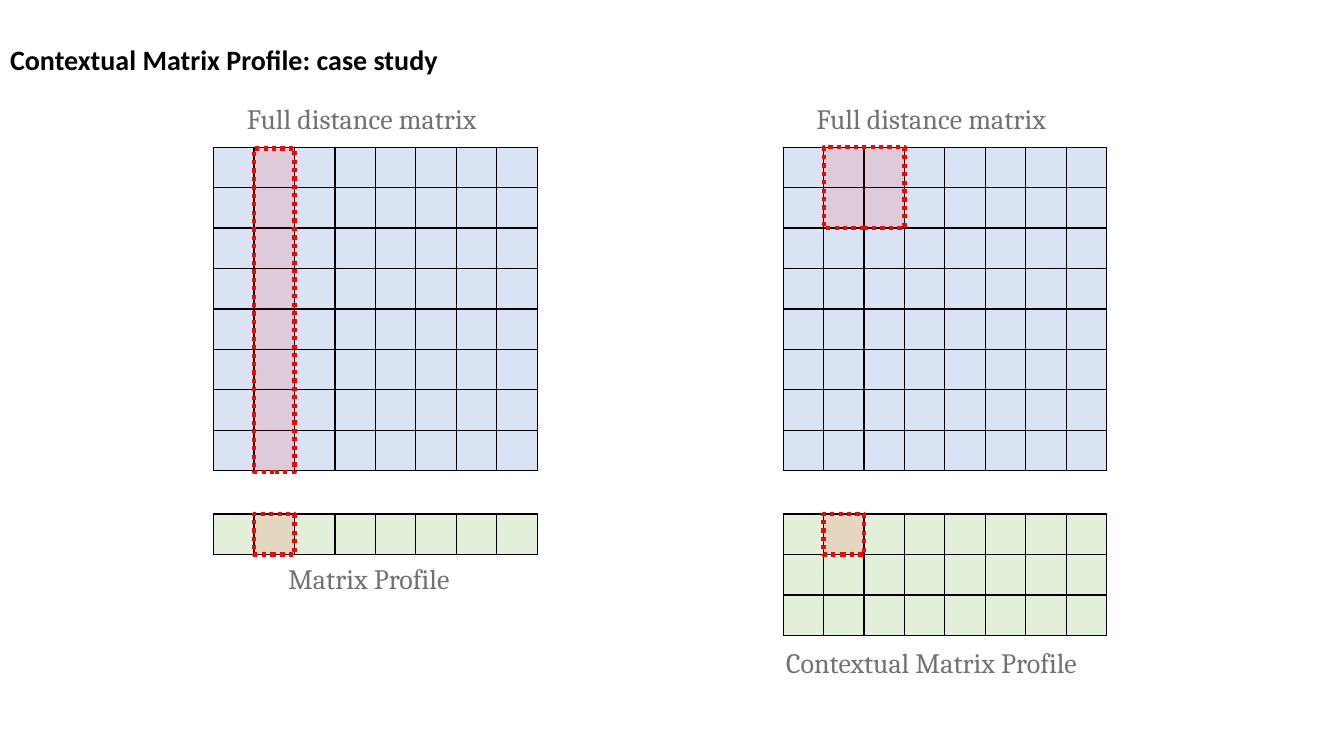
from dataclasses import dataclass

from lxml import etree
from pptx import Presentation
from pptx.dml.color import RGBColor
from pptx.enum.dml import MSO_LINE
from pptx.enum.shapes import MSO_SHAPE
from pptx.enum.text import MSO_ANCHOR, MSO_AUTO_SIZE, PP_ALIGN
from pptx.oxml.ns import qn
from pptx.util import Pt

DOTTED = MSO_LINE.ROUND_DOT
RECTANGLE = MSO_SHAPE.RECTANGLE
MIDDLE = MSO_ANCHOR.MIDDLE
NO_FIT = MSO_AUTO_SIZE.NONE
GROW = MSO_AUTO_SIZE.SHAPE_TO_FIT_TEXT
LEFT = PP_ALIGN.LEFT
TITLE_ONLY = 5

CELL = 28.9
COLUMNS = 8
LEFT_GRID = 152.6
RIGHT_GRID = 559.4
MATRIX_TOP = 105.1
PROFILE_TOP = 367.2
CAPTION_TOP = 69.1


@dataclass(frozen=True)
class Theme:
    title_font: str = "Calibri"
    caption_font: str = "Cambria"
    text_size: int = 20
    black: str = "000000"
    grey: str = "767171"
    distance: str = "DAE3F3"
    profile: str = "E2F0D9"
    red: str = "FF0000"


THEME = Theme()


def style_paragraph(paragraph, font_name, color, bold=False):
    paragraph.alignment = LEFT
    font = paragraph.font
    font.name = font_name
    font.size = Pt(THEME.text_size)
    font.bold = bold
    font.color.rgb = RGBColor.from_string(color)


def set_title(slide, text):
    title = slide.shapes.title
    title.left, title.top, title.width, title.height = Pt(0), Pt(28.8), Pt(898.6), Pt(29.5)
    frame = title.text_frame
    frame.text = text
    frame.auto_size = NO_FIT
    frame.vertical_anchor = MIDDLE
    paragraph = frame.paragraphs[0]
    paragraph.line_spacing = 0.9
    style_paragraph(paragraph, THEME.title_font, THEME.black, bold=True)


def add_caption(slide, text, left, top, width):
    box = slide.shapes.add_textbox(Pt(left), Pt(top), Pt(width), Pt(31.5))
    frame = box.text_frame
    frame.word_wrap = False
    frame.auto_size = GROW
    frame.text = text
    style_paragraph(frame.paragraphs[0], THEME.caption_font, THEME.grey)


def add_borders(cell):
    properties = cell._tc.get_or_add_tcPr()
    for side in ("a:lnL", "a:lnR", "a:lnT", "a:lnB"):
        border = etree.SubElement(properties, qn(side), w=str(Pt(1)))
        fill = etree.SubElement(border, qn("a:solidFill"))
        etree.SubElement(fill, qn("a:srgbClr"), val=THEME.black)


def add_grid(slide, left, top, row_count, color):
    frame = slide.shapes.add_table(
        row_count, COLUMNS, Pt(left), Pt(top), Pt(CELL * COLUMNS), Pt(CELL * row_count)
    )
    table = frame.table
    table.first_row = False
    table.horz_banding = False
    for column in table.columns:
        column.width = Pt(CELL)
    for row in table.rows:
        row.height = Pt(CELL)
    for cell in table.iter_cells():
        cell.margin_top = cell.margin_bottom = Pt(0)
        add_borders(cell)
        cell.fill.solid()
        cell.fill.fore_color.rgb = RGBColor.from_string(color)


def add_highlight(slide, left, top, column_count=1, row_count=1):
    shape = slide.shapes.add_shape(
        RECTANGLE, Pt(left), Pt(top), Pt(CELL * column_count), Pt(CELL * row_count)
    )
    shape.shadow.inherit = False
    red = RGBColor.from_string(THEME.red)
    shape.fill.solid()
    shape.fill.fore_color.rgb = red
    fill_color = shape._element.spPr.find(qn("a:solidFill"))[0]
    etree.SubElement(fill_color, qn("a:alpha"), val="10000")
    shape.line.color.rgb = red
    shape.line.width = Pt(3)
    shape.line.dash_style = DOTTED


def main():
    presentation = Presentation()
    presentation.slide_width = Pt(960)
    presentation.slide_height = Pt(540)
    slide = presentation.slides.add_slide(presentation.slide_layouts[TITLE_ONLY])
    set_title(slide, "Contextual Matrix Profile: case study")

    for grid_left, profile_rows in ((LEFT_GRID, 1), (RIGHT_GRID, 3)):
        add_grid(slide, grid_left, MATRIX_TOP, COLUMNS, THEME.distance)
        add_grid(slide, grid_left, PROFILE_TOP, profile_rows, THEME.profile)
        add_caption(slide, "Full distance matrix", grid_left + 16.6, CAPTION_TOP, 197.3)
        add_highlight(slide, grid_left + CELL, PROFILE_TOP)

    add_highlight(slide, LEFT_GRID + CELL, MATRIX_TOP + 1, row_count=COLUMNS)
    add_highlight(slide, RIGHT_GRID + CELL, MATRIX_TOP, column_count=2, row_count=2)
    add_caption(slide, "Matrix Profile", 198.7, 397.4, 139.7)
    add_caption(slide, "Contextual Matrix Profile", 554.4, 457.2, 241.9)

    presentation.save("out.pptx")


if __name__ == "__main__":
    main()
